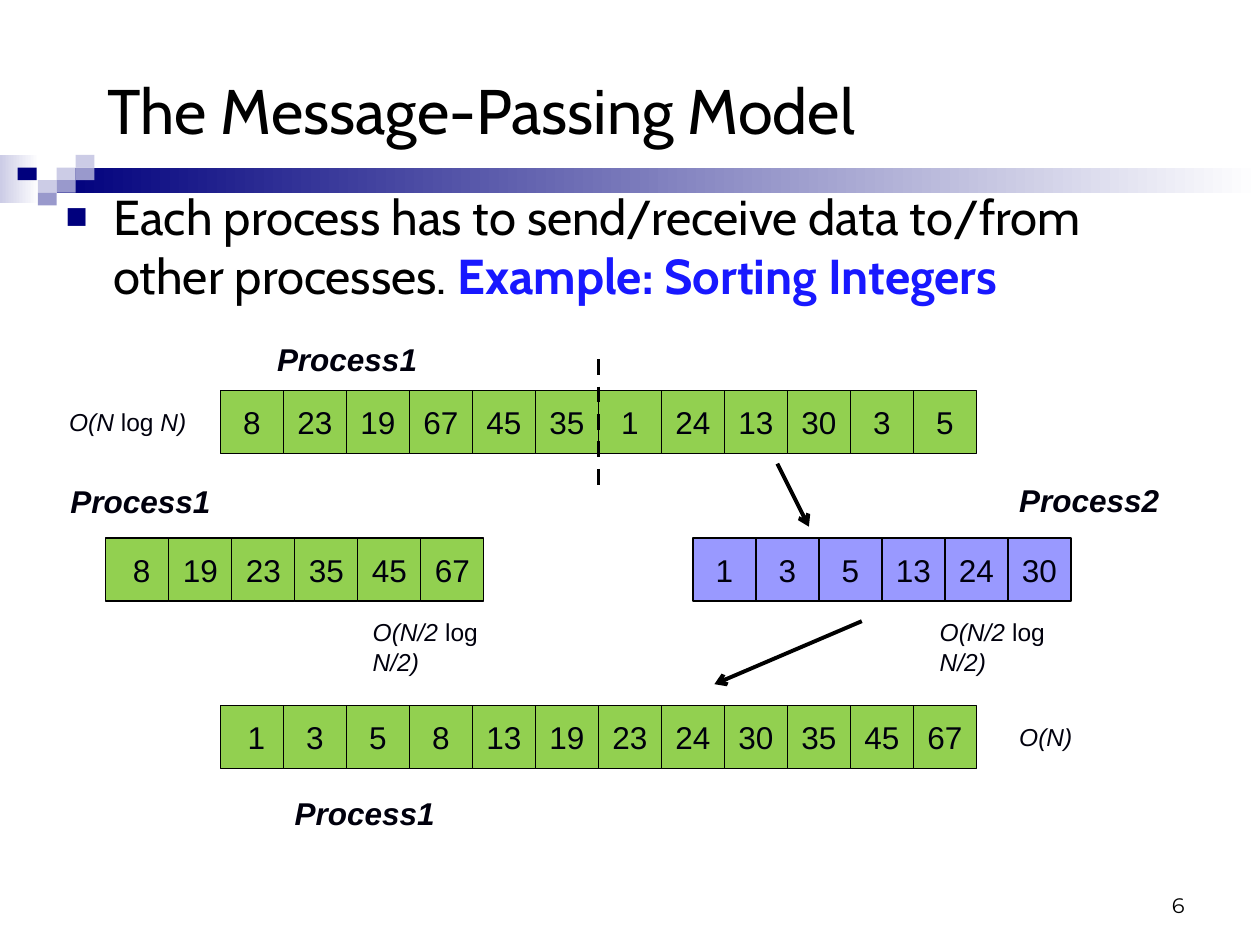
from pptx import Presentation
from pptx.dml.color import RGBColor
from pptx.enum.dml import MSO_LINE
from pptx.enum.shapes import MSO_CONNECTOR, MSO_SHAPE
from pptx.enum.text import MSO_ANCHOR, MSO_AUTO_SIZE, PP_ALIGN
from pptx.oxml.ns import qn
from pptx.util import Inches, Pt
from lxml.etree import SubElement

THEME = {
    "black": RGBColor.from_string("000000"),
    "ink": RGBColor.from_string("00000D"),
    "white": RGBColor.from_string("FFFFFF"),
    "navy": RGBColor.from_string("00007D"),
    "mid": RGBColor.from_string("9999CC"),
    "pale": RGBColor.from_string("CCCCE6"),
    "accent": RGBColor.from_string("1818FF"),
    "green": RGBColor.from_string("92D050"),
    "violet": RGBColor.from_string("9999FF"),
    "title": {"name": "Cabin", "size": Pt(36)},
    "body": {"name": "Cabin", "size": Pt(28)},
    "number": {"name": "Arial", "size": Pt(18)},
    "process": {"name": "Arial", "size": Pt(18), "bold": True, "italic": True},
    "cost": {"name": "Arial", "size": Pt(14), "italic": True},
    "page": {"name": "Montserrat", "size": Pt(12)},
}
CELL = 0.5


def add_span(para, text, style, color="ink", **extra):
    span = para.add_run()
    span.text = text
    for name, value in {**THEME[style], **extra}.items():
        setattr(span.font, name, value)
    span.font.color.rgb = THEME[color]


def add_rectangle(left, top, width, height):
    """Add a rectangle without shadow or outline."""
    box = page.shapes.add_shape(MSO_SHAPE.RECTANGLE, Inches(left), Inches(top),
                                Inches(width), Inches(height))
    box.shadow.inherit = False
    box.line.fill.background()
    return box


deck = Presentation()
deck.slide_width, deck.slide_height = Inches(10), Inches(7.5)
page = deck.slides.add_slide(deck.slide_layouts[1])

# Banner: two fading bars and a mosaic of small squares
for left, top, width, height, color in [(0, 1.23, 0.31, 0.38, "pale"),
                                        (0.45, 1.33, 9.55, 0.2, "navy")]:
    bar = add_rectangle(left, top, width, height)
    bar.fill.gradient()
    bar.fill.gradient_angle = 0
    for stop, shade in zip(bar.fill.gradient_stops, (color, "white")):
        stop.color.rgb = THEME[shade]

for left, top, color in [(0.45, 1.33, "pale"), (0.6, 1.23, "pale"), (0.6, 1.33, "mid"),
                         (0.3, 1.43, "pale"), (0.14, 1.33, "navy"),
                         (0.45, 1.43, "mid"), (0.3, 1.53, "mid")]:
    square = add_rectangle(left, top, 0.15, 0.1)
    square.fill.solid()
    square.fill.fore_color.rgb = THEME[color]

# Title and body, brought in front of the banner
title, body = page.shapes.title, page.placeholders[1]
for box, (left, top, width, height), anchor in [
        (title, (0.75, 0.42, 8.42, 0.89), MSO_ANCHOR.MIDDLE),
        (body, (0.42, 1.43, 9.17, 1.17), MSO_ANCHOR.TOP)]:
    box.left, box.top = Inches(left), Inches(top)
    box.width, box.height = Inches(width), Inches(height)
    box.text_frame.auto_size = MSO_AUTO_SIZE.NONE
    box.text_frame.vertical_anchor = anchor
    page.shapes._spTree.append(box._element)

para = title.text_frame.paragraphs[0]
para.alignment = PP_ALIGN.LEFT
add_span(para, "The Message-Passing Model", "title", "black")

para = body.text_frame.paragraphs[0]
para.space_before = Pt(7)
add_span(para, "Each process has to send/receive data to/from other processes. ", "body", "black")
add_span(para, "Example: Sorting Integers", "body", "accent", bold=True)
properties = para._p.get_or_add_pPr()
properties.set("marL", str(Inches(0.38)))
properties.set("indent", str(-Inches(0.38)))
bullet_color = SubElement(properties, qn("a:buClr"))
SubElement(bullet_color, qn("a:srgbClr"), val=str(THEME["navy"]))
SubElement(properties, qn("a:buSzPct"), val="75000")
SubElement(properties, qn("a:buFont"), typeface="Arial")
SubElement(properties, qn("a:buChar"), char="■")

# Arrays of integers
arrays = [
    (1.75, 3.1, "green", ["8", "23", "19", "67", "45", "35", "1", "24", "13", "30", "3", "5"]),
    (0.84, 4.27, "green", [" 8", "19", "23", "35", "45", "67"]),
    (5.5, 4.27, "violet", ["1", "3", "5", "13", "24", "30"]),
    (1.75, 5.6, "green", [" 1", "3", "5", "8", "13", "19", "23", "24", "30", "35", "45", "67"]),
]
for left, top, color, numbers in arrays:
    for column, number in enumerate(numbers):
        cell = add_rectangle(left + column * CELL, top, CELL, CELL)
        cell.fill.solid()
        cell.fill.fore_color.rgb = THEME[color]
        cell.line.color.rgb = THEME["black"]
        cell.line.width = Pt(0.75)
        cell.text_frame.vertical_anchor = MSO_ANCHOR.MIDDLE
        para = cell.text_frame.paragraphs[0]
        para.alignment = PP_ALIGN.CENTER
        add_span(para, number, "number")

# Process names and running costs; every second part of a cost is upright
half_cost = ["O(N/2 ", "log", " N/2)"]
labels = [
    (2.1, 2.65, 1.31, "process", ["Process1"]),
    (0.46, 3.78, 1.31, "process", ["Process1"]),
    (7.99, 3.77, 1.31, "process", ["Process2"]),
    (2.24, 6.25, 1.31, "process", ["Process1"]),
    (0.45, 3.18, 1.13, "cost", ["O(N ", "log", " N)"]),
    (2.86, 4.85, 1.45, "cost", half_cost),
    (7.36, 4.85, 1.45, "cost", half_cost),
    (7.99, 5.68, 0.62, "cost", ["O(N)"]),
]
for left, top, width, style, parts in labels:
    height = 0.4 if style == "process" else 0.34
    label = page.shapes.add_textbox(Inches(left), Inches(top), Inches(width), Inches(height))
    label.text_frame.word_wrap = False
    for index, part in enumerate(parts):
        add_span(label.text_frame.paragraphs[0], part, style, italic=index % 2 == 0)

# Split line and message arrows
for start_x, start_y, end_x, end_y, is_arrow in [(4.75, 2.85, 4.75, 3.93, False),
                                                 (6.17, 3.68, 6.42, 4.18, True),
                                                 (6.84, 4.93, 5.67, 5.43, True)]:
    line = page.shapes.add_connector(MSO_CONNECTOR.STRAIGHT, Inches(start_x), Inches(start_y),
                                     Inches(end_x), Inches(end_y))
    line.line.color.rgb = THEME["black"]
    line.line.width = Pt(2.25)
    if is_arrow:
        SubElement(line.line._get_or_add_ln(), qn("a:tailEnd"), type="arrow")
    else:
        line.line.dash_style = MSO_LINE.DASH
    SubElement(line._element.spPr, qn("a:effectLst"))

page_number = page.shapes.add_textbox(Inches(7.17), Inches(6.83), Inches(2.33), Inches(0.5))
page_number.text_frame.word_wrap = True
page_number.text_frame.vertical_anchor = MSO_ANCHOR.BOTTOM
para = page_number.text_frame.paragraphs[0]
para.alignment = PP_ALIGN.RIGHT
add_span(para, "6", "page", "black")

deck.save("out.pptx")
